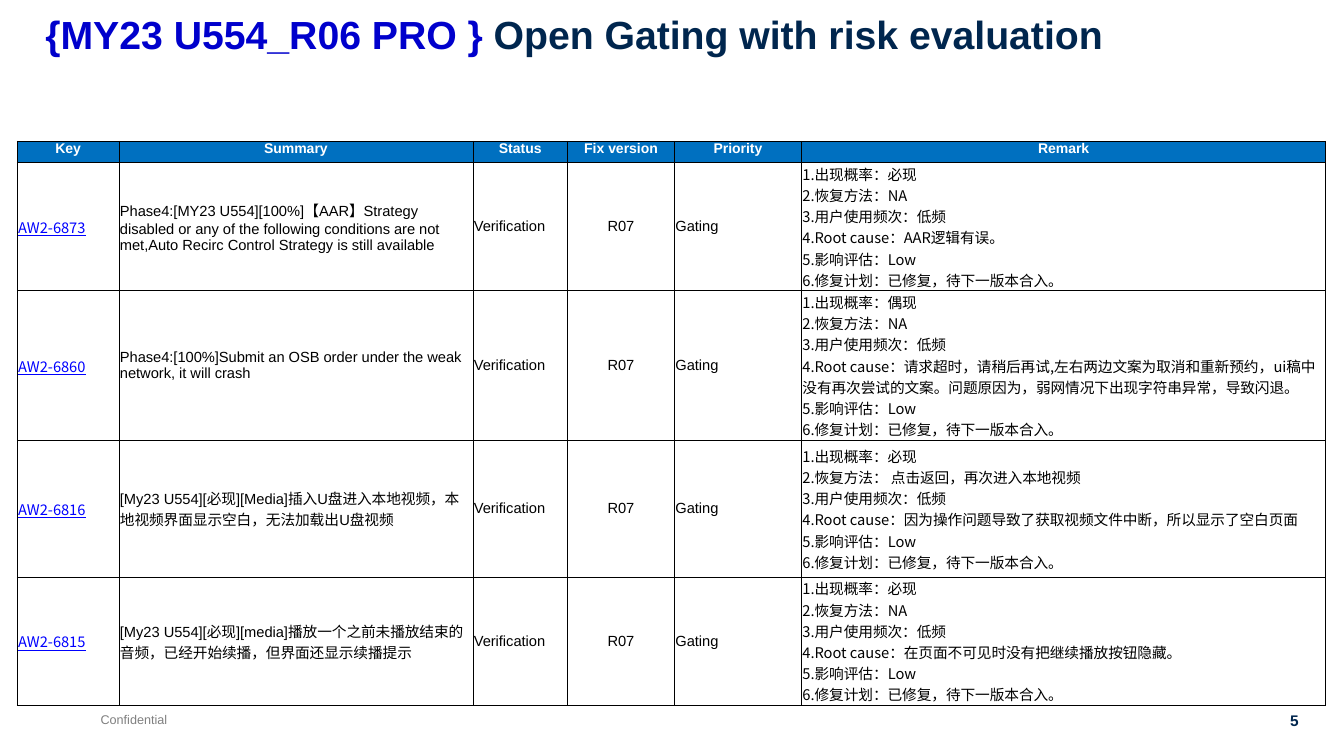
from lxml.etree import SubElement
from pptx import Presentation
from pptx.dml.color import RGBColor
from pptx.enum.text import MSO_ANCHOR as Anchor, MSO_AUTO_SIZE as AutoSize, PP_ALIGN as Align
from pptx.oxml.ns import qn
from pptx.util import Inches, Pt

LATIN = "Arial"
CJK = "Noto Sans CJK SC"
NAVY = "00264E"

TITLE = [("{MY23 U554_R06 PRO } ", "0000CC"), ("Open Gating with risk evaluation", NAVY)]
HEADERS = ["Key", "Summary", "Status", "Fix version", "Priority", "Remark"]
STATUS, FIX_VERSION, PRIORITY = "Verification", "R07", "Gating"
REMARK_LABELS = ["出现概率：", "恢复方法：", "用户使用频次：", "Root cause：", "影响评估：", "修复计划："]
FREQUENCY, IMPACT, PLAN = "低频", "Low", "已修复，待下一版本合入。"
ISSUES = [
    ("AW2-6873",
     "Phase4:[MY23 U554][100%]【AAR】Strategy disabled or any of the following conditions "
     "are not met,Auto Recirc Control Strategy is still available",
     "必现", "NA", "AAR逻辑有误。"),
    ("AW2-6860",
     "Phase4:[100%]Submit an OSB order under the weak network, it will crash",
     "偶现", "NA",
     "请求超时，请稍后再试,左右两边文案为取消和重新预约，ui稿中没有再次尝试的文案。"
     "问题原因为，弱网情况下出现字符串异常，导致闪退。"),
    ("AW2-6816",
     "[My23 U554][必现][Media]插入U盘进入本地视频，本地视频界面显示空白，无法加载出U盘视频",
     "必现", " 点击返回，再次进入本地视频",
     "因为操作问题导致了获取视频文件中断，所以显示了空白页面"),
    ("AW2-6815",
     "[My23 U554][必现][media]播放一个之前未播放结束的音频，已经开始续播，但界面还显示续播提示",
     "必现", "NA", "在页面不可见时没有把继续播放按钮隐藏。"),
]
COLUMN_WIDTHS = [1.01, 3.51, 0.94, 1.06, 1.26, 5.2]
ROW_HEIGHTS = [0.21, 1.27, 1.48, 1.36, 1.27]


def color(value):
    return RGBColor.from_string(value)


def write(paragraph, text, size=10.5, font=LATIN, fill="000000", bold=False,
          underline=False, align=Align.LEFT):
    paragraph.alignment = align
    run = paragraph.add_run()
    run.text = text
    run.font.size = Pt(size)
    run.font.bold = bold
    run.font.underline = underline
    run.font.color.rgb = color(fill)
    run.font.name = font
    SubElement(run.font._element, qn("a:ea")).set("typeface", CJK)


def add_label(slide, left, top, width, height, text, **style):
    frame = slide.shapes.add_textbox(
        Inches(left), Inches(top), Inches(width), Inches(height)).text_frame
    frame.word_wrap = False
    write(frame.paragraphs[0], text, **style)


def format_cell(cell, margins, anchor, fill=None):
    cell.margin_left, cell.margin_top, cell.margin_right, cell.margin_bottom = map(Inches, margins)
    cell.vertical_anchor = anchor
    properties = cell._tc.get_or_add_tcPr()
    for side in ("a:lnL", "a:lnR", "a:lnT", "a:lnB"):
        border = SubElement(properties, qn(side), w=str(Pt(0.5)))
        SubElement(SubElement(border, qn("a:solidFill")), qn("a:srgbClr"), val="000000")
    if fill:
        cell.fill.solid()
        cell.fill.fore_color.rgb = color(fill)
    else:
        cell.fill.background()


def remark_lines(probability, recovery, cause):
    values = [probability, recovery, FREQUENCY, cause, IMPACT, PLAN]
    return [f"{number}.{label}{value}"
            for number, (label, value) in enumerate(zip(REMARK_LABELS, values), 1)]


def add_issues(slide):
    table = slide.shapes.add_table(
        len(ROW_HEIGHTS), len(HEADERS), Inches(0.17), Inches(1.4),
        Inches(sum(COLUMN_WIDTHS)), Inches(sum(ROW_HEIGHTS))).table
    table.horz_banding = False
    for column, width in zip(table.columns, COLUMN_WIDTHS):
        column.width = Inches(width)
    for row, height in zip(table.rows, ROW_HEIGHTS):
        row.height = Inches(height)

    for cell, header in zip(table.rows[0].cells, HEADERS):
        format_cell(cell, (0, 0, 0, 0), Anchor.TOP, "0070C0")
        write(cell.text_frame.paragraphs[0], header, size=10, fill="FFFFFF",
              bold=True, align=Align.CENTER)

    styles = {
        "Key": {"font": CJK, "fill": "0000FF", "underline": True},
        "Fix version": {"align": Align.CENTER},
        "Remark": {"font": CJK},
    }
    for row, (key, summary, *details) in enumerate(ISSUES, 1):
        entries = [[key], [summary], [STATUS], [FIX_VERSION], [PRIORITY], remark_lines(*details)]
        for cell, header, lines in zip(table.rows[row].cells, HEADERS, entries):
            format_cell(cell, (0.01, 0.01, 0.01, 0), Anchor.MIDDLE)
            frame = cell.text_frame
            for index, line in enumerate(lines):
                paragraph = frame.add_paragraph() if index else frame.paragraphs[0]
                write(paragraph, line, **styles.get(header, {}))


def main():
    deck = Presentation()
    deck.slide_width, deck.slide_height = Inches(13.33), Inches(7.5)
    slide = deck.slides.add_slide(deck.slide_layouts[5])

    title = slide.shapes.title
    title.left, title.top, title.width, title.height = map(Inches, (0.35, 0.1, 12.98, 0.53))
    heading = title.text_frame
    heading.auto_size = AutoSize.NONE
    heading.vertical_anchor = Anchor.MIDDLE
    heading.paragraphs[0].line_spacing = 0.9
    for text, fill in TITLE:
        write(heading.paragraphs[0], text, size=28, fill=fill, bold=True)

    add_issues(slide)
    add_label(slide, 0.9, 7.01, 0.87, 0.25, "Confidential", size=9, fill="808080")
    add_label(slide, 12.59, 7.01, 0.39, 0.29, "5", size=11, fill=NAVY, bold=True, align=Align.RIGHT)
    deck.save("out.pptx")


if __name__ == "__main__":
    main()
